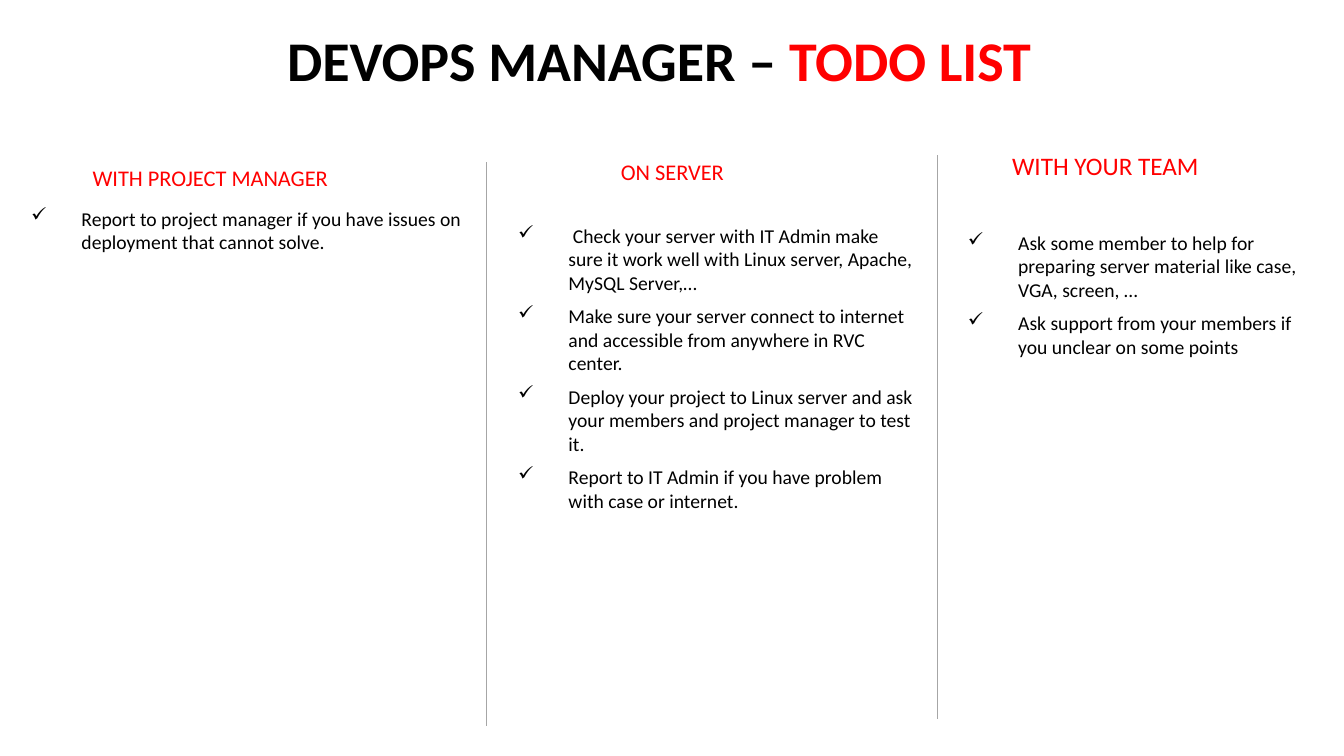
from lxml import etree
from pptx import Presentation
from pptx.dml.color import RGBColor
from pptx.enum.shapes import MSO_CONNECTOR
from pptx.enum.text import MSO_AUTO_SIZE
from pptx.oxml.ns import qn
from pptx.util import Emu, Pt

BLACK = RGBColor(0x00, 0x00, 0x00)
RED = RGBColor(0xFF, 0x00, 0x00)
GREY = RGBColor(0xA6, 0xA6, 0xA6)
STRAIGHT = MSO_CONNECTOR.STRAIGHT
GROW = MSO_AUTO_SIZE.SHAPE_TO_FIT_TEXT
SCALE = 9144


def px(n):
    return Emu(n * SCALE)


class Board:
    font = "Calibri"
    size = 14
    indent = 50
    gap = 7

    def __init__(self, slide):
        self.slide = slide

    def style(self, run, size, color, bold=False):
        font = run.font
        font.name = self.font
        font.size = Pt(size)
        font.color.rgb = color
        font.bold = bold

    def frame(self, place, wrap):
        box = self.slide.shapes.add_textbox(*map(px, place))
        frame = box.text_frame
        frame.word_wrap = wrap
        frame.auto_size = GROW
        return frame

    def label(self, place, size, parts, bold=False):
        para = self.frame(place, False).paragraphs[0]
        for text, color in parts:
            run = para.add_run()
            run.text = text
            self.style(run, size, color, bold)

    def tasks(self, place, items):
        frame = self.frame(place, True)
        frame.text = "\n".join(items)
        for i, para in enumerate(frame.paragraphs):
            props = para._p.get_or_add_pPr()
            props.set("marL", str(px(self.indent)))
            props.set("indent", str(px(-self.indent)))
            etree.SubElement(props, qn("a:buChar")).set("char", "✓")
            if i:
                para.space_before = Pt(self.gap)
            for run in para.runs:
                self.style(run, self.size, BLACK)

    def rule(self, x, top, height):
        line = self.slide.shapes.add_connector(
            STRAIGHT, px(x), px(top), px(x), px(top + height))
        line.line.color.rgb = GREY
        line.line.width = Pt(0.5)
        etree.SubElement(line._element.spPr, qn("a:effectLst"))


COLUMNS = [
    ("WITH PROJECT MANAGER", (82, 158, 262, 37), 16, (21, 200, 449, 57), [
        "Report to project manager if you have issues on deployment that cannot solve.",
    ]),
    ("ON SERVER", (606, 152, 124, 37), 16, (504, 217, 414, 305), [
        " Check your server with IT Admin make sure it work well with Linux server, Apache, MySQL Server,…",
        "Make sure your server connect to internet and accessible from anywhere in RVC center.",
        "Deploy your project to Linux server and ask your members and project manager to test it.",
        "Report to IT Admin if you have problem with case or internet.",
    ]),
    ("WITH YOUR TEAM", (994, 144, 210, 40), 18, (950, 224, 369, 140), [
        "Ask some member to help for preparing server material like case, VGA, screen, …",
        "Ask support from your members if you unclear on some points",
    ]),
]


def main():
    deck = Presentation()
    deck.slide_width = px(1333)
    deck.slide_height = px(750)
    board = Board(deck.slides.add_slide(deck.slide_layouts[6]))
    board.label((275, 20, 765, 77), 40,
                [("DEVOPS MANAGER – ", BLACK), ("TODO LIST", RED)], bold=True)
    for x, top in ((482, 161), (930, 154)):
        board.rule(x, top, 559)
    for head, spot, size, place, items in COLUMNS:
        board.label(spot, size, [(head, RED)])
        board.tasks(place, items)
    deck.save("out.pptx")


if __name__ == "__main__":
    main()
